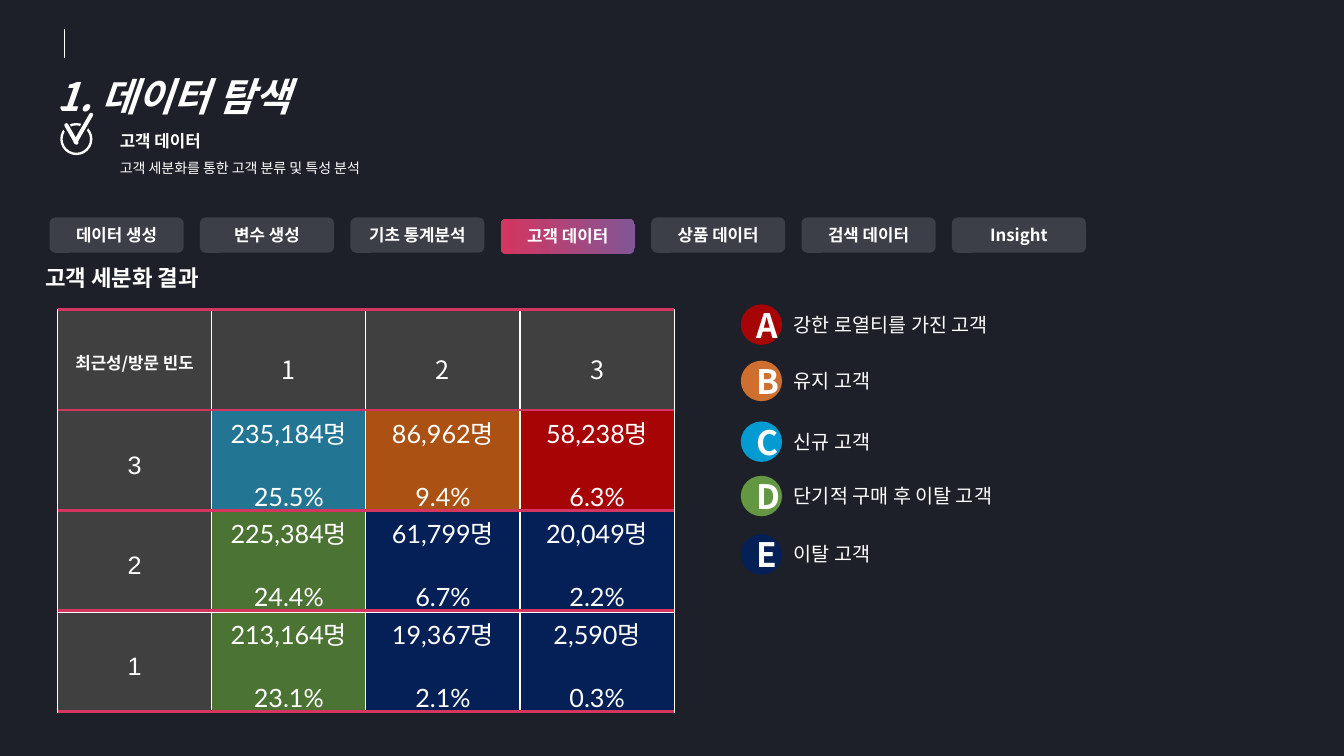
from lxml import etree
from pptx import Presentation
from pptx import util as u
from pptx.dml.color import RGBColor
from pptx.enum import shapes, text
from pptx.oxml.ns import qn

KOREAN = "Noto Sans CJK KR"
WHITE, DARK, PINK, PURPLE, GREY = "FFFFFF", "1D2029", "D5355F", "815695", "404040"
KIND = shapes.MSO_SHAPE
CENTER, LEFT = text.PP_ALIGN.CENTER, text.PP_ALIGN.LEFT


def colour(value):
    return RGBColor.from_string(value)


def paint(fill, value, opacity=100):
    fill.solid()
    fill.fore_color.rgb = colour(value)
    if opacity < 100:
        tint = fill._xPr.find(qn("a:solidFill")).find(qn("a:srgbClr"))
        etree.SubElement(tint, qn("a:alpha"), val=str(opacity * 1000))


def write(para, words, size, bold=False, italic=False, align=LEFT, name=KOREAN):
    para.text = words
    para.alignment = align
    font = para.font
    font.size, font.bold, font.italic, font.name = u.Pt(size), bold, italic, name
    font.color.rgb = colour(WHITE)
    defaults = para._p.pPr.find(qn("a:defRPr"))
    etree.SubElement(defaults, qn("a:ea"), typeface=KOREAN)


def add_block(parent, kind, box, value=None, opacity=100, corner=None, turn=0):
    block = parent.add_shape(kind, *map(u.Cm, box))
    block.shadow.inherit = False
    block.line.fill.background()
    block.rotation = turn
    if corner is not None:
        block.adjustments[0] = corner
    if value:
        paint(block.fill, value, opacity)
    else:
        block.fill.background()
    return block


def label(block, words, size, bold=False, align=LEFT):
    frame = block.text_frame
    frame.word_wrap = True
    frame.vertical_anchor = text.MSO_ANCHOR.MIDDLE
    write(frame.paragraphs[0], words, size, bold, align=align)


def add_line(page, start, end, value, width):
    line = page.shapes.add_connector(
        shapes.MSO_CONNECTOR.STRAIGHT, *map(u.Cm, start + end))
    line.line.color.rgb = colour(value)
    line.line.width = u.Pt(width)
    etree.SubElement(line._element.spPr, qn("a:effectLst"))


def add_heading(page, left, top):
    add_line(page, (left + 0.45, top), (left + 0.45, top + 0.72), WHITE, 0.5)
    # Title
    title = page.shapes.title
    title.left, title.top = u.Cm(left), u.Cm(top + 0.36)
    title.width, title.height = u.Cm(11.76), u.Cm(1.83)
    frame = title.text_frame
    frame.auto_size = text.MSO_AUTO_SIZE.NONE
    frame.vertical_anchor = text.MSO_ANCHOR.TOP
    write(frame.paragraphs[0], "1. 데이터 탐색", 28, True, True)
    frame.paragraphs[0].line_spacing = 1.5
    # Subtitle
    subtitle = page.shapes.add_textbox(
        u.Cm(left + 1.6), u.Cm(top + 2.19), u.Cm(10.11), u.Cm(1.68))
    frame = subtitle.text_frame
    frame.word_wrap = True
    write(frame.paragraphs[0], "고객 데이터", 12, True)
    write(frame.add_paragraph(), "고객 세분화를 통한 고객 분류 및 특성 분석", 10)
    for para in frame.paragraphs:
        para.line_spacing = 1.5


def add_check_icon(page, left, top):
    icon = page.shapes.add_group_shape().shapes
    add_block(icon, KIND.DONUT, (left, top + 0.56, 0.81, 0.81), WHITE, corner=0.074)
    strokes = [  # x, y, width, height, colour, rotation
        (0, 0, 0.2, 1.12, DARK, 330),
        (0.56, 0, 0.2, 1.12, DARK, 30),
        (0.53, 0.25, 0.1, 0.89, WHITE, 30),
        (0.23, 0.53, 0.1, 0.61, WHITE, 330),
    ]
    for x, y, width, height, value, turn in strokes:
        add_block(icon, KIND.ROUNDED_RECTANGLE, (left + x, top + y, width, height),
                  value, corner=0.5, turn=turn)


def add_tabs(page, left, top, active):
    names = ["데이터 생성", "변수 생성", "기초 통계분석", "고객 데이터",
             "상품 데이터", "검색 데이터", "Insight"]
    for index, name in enumerate(names):
        drop = 0.03 if index == active else 0
        box = (left + 3.79 * index, top + drop, 3.38, 0.89)
        tab = add_block(page.shapes, KIND.ROUNDED_RECTANGLE, box, WHITE, 14)
        if index == active:
            tab.fill.gradient()
            tab.fill.gradient_angle = 180
            for stop, value in zip(tab.fill.gradient_stops, (PURPLE, PINK)):
                stop.color.rgb = colour(value)
        label(tab, name, 12, True, CENTER)


def add_borders(cell):
    properties = cell._tc.get_or_add_tcPr()
    for side in ("lnL", "lnR", "lnT", "lnB"):
        border = etree.SubElement(properties, qn("a:" + side), w=str(u.Pt(1)))
        fill = etree.SubElement(border, qn("a:solidFill"))
        etree.SubElement(fill, qn("a:srgbClr"), val=WHITE)


def add_segments(page, left, top, width, height):
    blue, orange, red, green, navy = "2584A7", "C55A11", "C00000", "548235", "002060"
    header = ["최근성/방문 빈도", "1", "2", "3"]
    rows = [
        ("3", ("235,184명", "25.5%", blue), ("86,962명", "9.4%", orange),
         ("58,238명", "6.3%", red)),
        ("2", ("225,384명", "24.4%", green), ("61,799명", "6.7%", navy),
         ("20,049명", "2.2%", navy)),
        ("1", ("213,164명", "23.1%", green), ("19,367명", "2.1%", navy),
         ("2,590명", "0.3%", navy)),
    ]
    table = page.shapes.add_table(4, 4, *map(u.Cm, (left, top, width, height))).table
    table.first_row = table.horz_banding = False
    for r, row in enumerate([header] + rows):
        table.rows[r].height = u.Cm(height / 4)
        for c, entry in enumerate(row):
            cell = table.cell(r, c)
            cell.margin_bottom = 0
            add_borders(cell)
            first = cell.text_frame.paragraphs[0]
            if isinstance(entry, str):
                cell.margin_top = u.Cm(1.03)
                corner = r == c == 0
                write(first, entry, 12 if corner else 18, corner, align=CENTER,
                      name="Arial" if r else KOREAN)
                paint(cell.fill, GREY)
            else:
                count, share, value = entry
                cell.margin_top = u.Cm(0.09)
                write(first, count, 18, align=CENTER, name="Lato")
                second = cell.text_frame.add_paragraph()
                second.space_before = u.Pt(22)
                write(second, share, 18, align=CENTER, name="Lato")
                paint(cell.fill, value, 85)
    # Row rules
    for index in range(5):
        y = top + 2.53 * index
        add_line(page, (left, y), (left + width, y), PINK, 2)


def add_legend(page, left, top):
    groups = [  # offset, letter, meaning, colour
        (0, "A", "강한 로열티를 가진 고객", "C00000"),
        (1.42, "B", "유지 고객", "ED7D31"),
        (2.95, "C", "신규 고객", "00B0F0"),
        (4.32, "D", "단기적 구매 후 이탈 고객", "70AD47"),
        (5.79, "E", "이탈 고객", "002060"),
    ]
    for offset, letter, meaning, value in groups:
        y = top + offset
        badge = add_block(page.shapes, KIND.OVAL, (left, y, 1.04, 1.02), value, 85)
        label(badge, letter, 24, True, CENTER)
        caption = add_block(page.shapes, KIND.ROUNDED_RECTANGLE,
                            (left + 1.04, y - 0.12, 7.67, 1.24), corner=0.137)
        label(caption, meaning, 14)


def main():
    deck = Presentation()
    deck.slide_width, deck.slide_height = u.Cm(33.87), u.Cm(19.05)
    page = deck.slides.add_slide(deck.slide_layouts[5])
    paint(page.background.fill, DARK)
    add_heading(page, 1.17, 0.73)
    add_check_icon(page, 1.52, 2.54)
    add_tabs(page, 1.25, 5.48, active=3)
    section = add_block(page.shapes, KIND.ROUNDED_RECTANGLE,
                        (0.84, 6.4, 8.03, 1.17), corner=0.137)
    label(section, "고객 세분화 결과", 16, True)
    add_segments(page, 1.45, 7.8, 15.54, 10.16)
    add_legend(page, 18.67, 7.67)
    deck.save("out.pptx")


if __name__ == "__main__":
    main()
